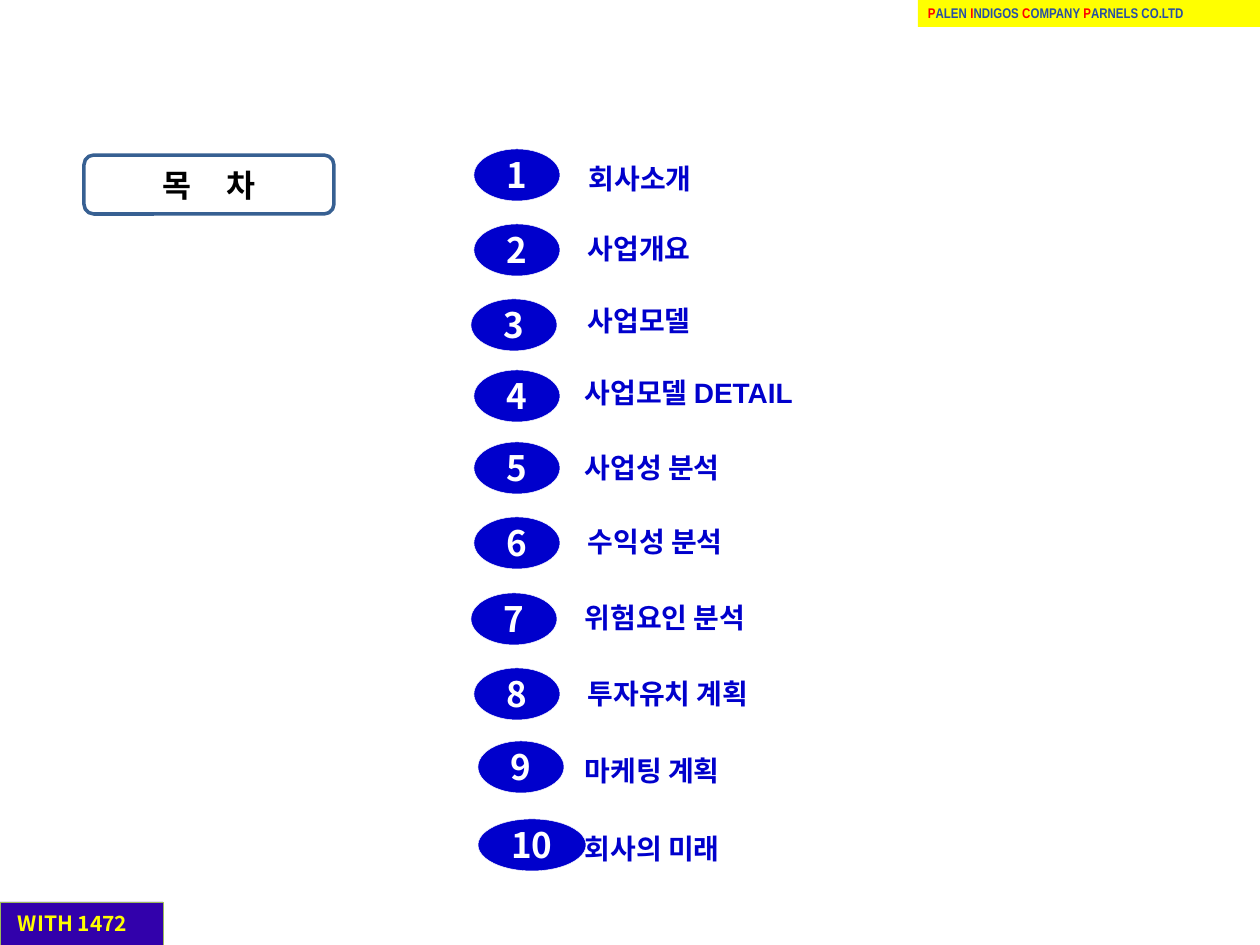
from dataclasses import dataclass

from lxml.etree import SubElement
from pptx import Presentation
from pptx.dml.color import RGBColor
from pptx.enum.shapes import MSO_SHAPE
from pptx.enum.text import MSO_ANCHOR, PP_ALIGN
from pptx.oxml.ns import qn
from pptx.util import Emu, Pt

PIXELS_PER_INCH = 126
KOREAN_FONT = "Noto Sans CJK KR"
BLUE = "0000CC"
WHITE = "FFFFFF"
NUMBER_HEIGHT = 52
LABEL_WIDTH = 759
LABEL_HEIGHT = 59


@dataclass
class Entry:
    text: str
    number_left: int
    number_top: int
    label_left: int
    label_top: int
    text_left: int
    number_width: int = 86


ENTRIES = [
    Entry("회사소개", 474, 149, 454, 149, 586),
    Entry("사업개요", 474, 224, 456, 219, 585),
    Entry("사업모델", 471, 299, 454, 291, 585),
    Entry("사업모델 DETAIL", 474, 370, 454, 363, 582),
    Entry("사업성 분석", 474, 442, 454, 438, 582),
    Entry("수익성 분석", 474, 517, 456, 512, 585),
    Entry("위험요인 분석", 471, 593, 454, 588, 582),
    Entry("투자유치 계획", 474, 668, 456, 664, 585),
    Entry("마케팅 계획", 478, 741, 457, 741, 582),
    Entry("회사의 미래", 478, 819, 457, 819, 582, 108),
]


def px(length):
    return Emu(round(length * 914400 / PIXELS_PER_INCH))


def color(value):
    return RGBColor.from_string(value)


def add_box(slide, kind, bounds, fill, line=None, line_width=0.25):
    shape = slide.shapes.add_shape(kind, *map(px, bounds))
    shape.shadow.inherit = False
    shape.fill.solid()
    shape.fill.fore_color.rgb = color(fill)
    if line:
        shape.line.color.rgb = color(line)
        shape.line.width = Pt(line_width)
    else:
        shape.line.fill.background()
    return shape


def style_text(shape, size, font_color, font_name=KOREAN_FONT,
               align=PP_ALIGN.LEFT, anchor=MSO_ANCHOR.MIDDLE, insets=(13, 6, 13, 6)):
    frame = shape.text_frame
    frame.word_wrap = True
    frame.vertical_anchor = anchor
    frame.margin_left, frame.margin_top, frame.margin_right, frame.margin_bottom = map(px, insets)
    paragraph = frame.paragraphs[0]
    paragraph.alignment = align
    font = paragraph.font
    font.size = Pt(size)
    font.bold = True
    font.name = font_name
    font.color.rgb = color(font_color)
    properties = paragraph._p.get_or_add_pPr().find(qn("a:defRPr"))
    SubElement(properties, qn("a:ea")).set("typeface", KOREAN_FONT)
    return paragraph


def add_run(paragraph, text, run_color=None, spacing=0):
    run = paragraph.add_run()
    run.text = text
    if run_color:
        run.font.color.rgb = color(run_color)
    if spacing:
        run._r.get_or_add_rPr().set("spc", str(spacing * 100))


def add_title(slide):
    shape = add_box(slide, MSO_SHAPE.ROUNDED_RECTANGLE, (84, 155, 250, 59), WHITE, "376092", 2)
    paragraph = style_text(shape, 18, "000000", align=PP_ALIGN.CENTER)
    add_run(paragraph, "목")
    add_run(paragraph, " ", spacing=16)
    add_run(paragraph, "차")


def add_entry(slide, number, entry):
    label = add_box(slide, MSO_SHAPE.ROUNDED_RECTANGLE,
                    (entry.label_left, entry.label_top, LABEL_WIDTH, LABEL_HEIGHT), WHITE, WHITE)
    paragraph = style_text(label, 16, BLUE, "Arial", PP_ALIGN.JUSTIFY,
                           insets=(entry.text_left - entry.label_left, 6, 13, 6))
    add_run(paragraph, entry.text)
    oval = add_box(slide, MSO_SHAPE.OVAL,
                   (entry.number_left, entry.number_top, entry.number_width, NUMBER_HEIGHT),
                   BLUE, WHITE)
    add_run(style_text(oval, 20, WHITE, align=PP_ALIGN.CENTER), str(number))


def add_company_banner(slide):
    shape = add_box(slide, MSO_SHAPE.RECTANGLE, (918, 0, 342, 27), "FFFF00")
    paragraph = style_text(shape, 8, "274FA4", "Arial Narrow",
                           anchor=MSO_ANCHOR.TOP, insets=(10, 5, 10, 5))
    for word in ("PALEN", "INDIGOS", "COMPANY", "PARNELS"):
        add_run(paragraph, word[0], "FF0000")
        add_run(paragraph, word[1:] + " ")
    add_run(paragraph, "CO.LTD")


def add_footer(slide):
    shape = add_box(slide, MSO_SHAPE.RECTANGLE, (0, 902, 163, 45), "3201AB", "9BBB59")
    paragraph = style_text(shape, 12, "FFFF00", anchor=MSO_ANCHOR.TOP, insets=(18, 9, 6, 0))
    add_run(paragraph, "WITH 1472")


def main():
    presentation = Presentation()
    presentation.slide_width = px(1260)
    presentation.slide_height = px(945)
    slide = presentation.slides.add_slide(presentation.slide_layouts[6])
    add_title(slide)
    for number, entry in enumerate(ENTRIES, start=1):
        add_entry(slide, number, entry)
    add_company_banner(slide)
    add_footer(slide)
    presentation.save("out.pptx")


if __name__ == "__main__":
    main()
